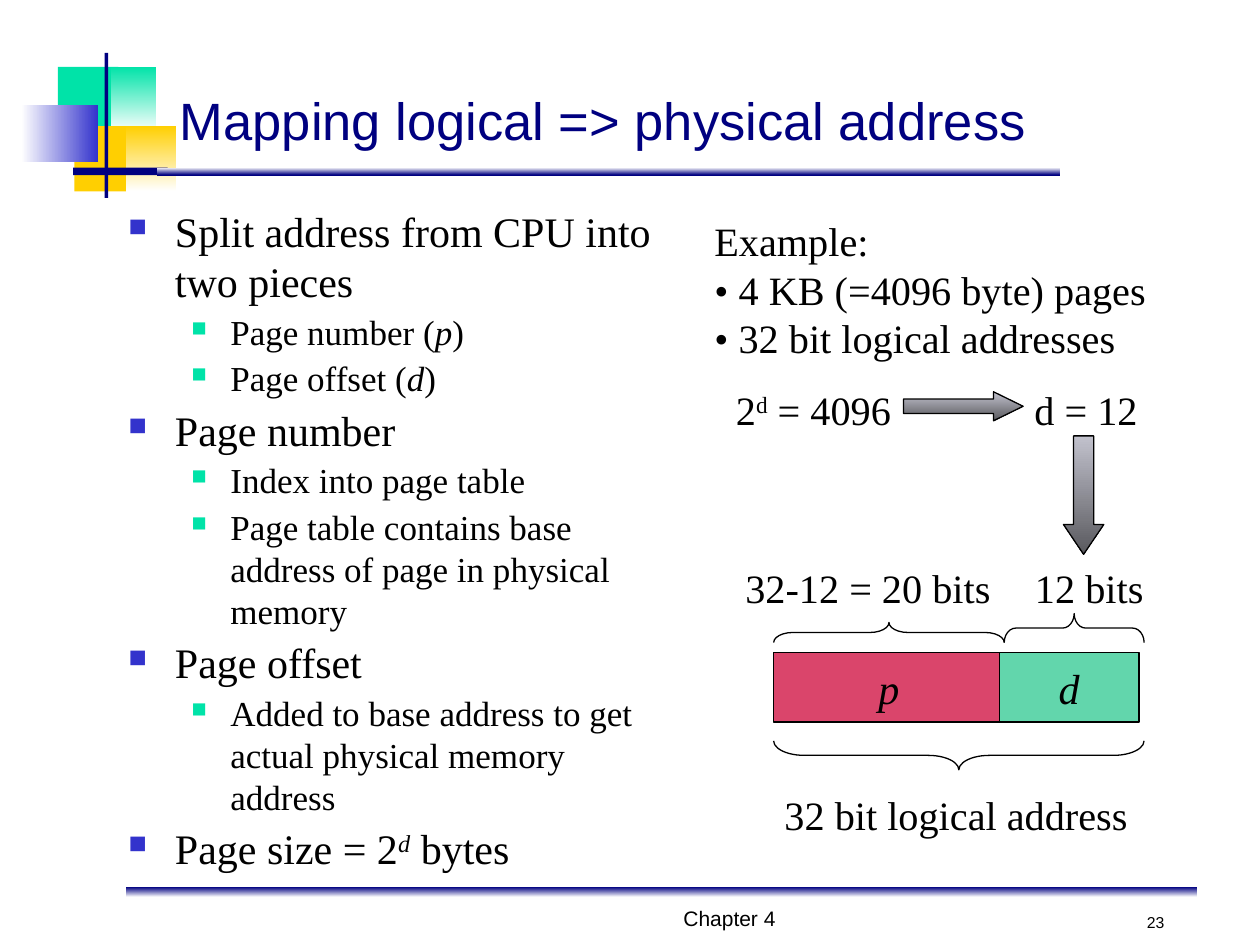
import pptx
import pptx.dml.color
import pptx.enum.shapes
import pptx.enum.text
import pptx.oxml.ns
import pptx.util
from lxml import etree

Inches = pptx.util.Inches
Shapes = pptx.enum.shapes.MSO_SHAPE
Align = pptx.enum.text.PP_ALIGN
Anchor = pptx.enum.text.MSO_ANCHOR

NAVY, BLUE, GREEN, YELLOW = "000080", "3333CC", "00E3A8", "FFCF01"
WHITE, BLACK, LIGHT_GREY, DARK_GREY = "FFFFFF", "000000", "C2C2CD", "59595E"
DOWNWARD, RIGHTWARD = 270, 0
SERIF, SANS = "Times New Roman", "Arial"


def colour(value):
    return pptx.dml.color.RGBColor.from_string(value)


class SlideBuilder:
    label_size = 23
    line_width = 0.75
    bullet_levels = [
        {"size": 24, "before": 3, "margin": 0.37, "hang": 0.37, "colour": BLUE},
        {"size": 20, "before": 2.5, "margin": 0.81, "hang": 0.31, "colour": GREEN},
    ]

    def __init__(self, slide):
        self.slide = slide

    def shape(self, kind, box, fill=None, gradient=None, angle=DOWNWARD, outlined=False):
        shape = self.slide.shapes.add_shape(kind, *map(Inches, box))
        shape.shadow.inherit = False
        if gradient:
            shape.fill.gradient()
            shape.fill.gradient_angle = angle
            for stop, value in zip(shape.fill.gradient_stops, gradient):
                stop.color.rgb = colour(value)
        elif fill:
            shape.fill.solid()
            shape.fill.fore_color.rgb = colour(fill)
        else:
            shape.fill.background()
        if outlined:
            shape.line.color.rgb = colour(BLACK)
            shape.line.width = pptx.util.Pt(self.line_width)
        else:
            shape.line.fill.background()
        return shape

    def rectangle(self, box, **style):
        return self.shape(Shapes.RECTANGLE, box, **style)

    def arrow(self, kind, box, head):
        arrow = self.shape(kind, box, gradient=(LIGHT_GREY, DARK_GREY), outlined=True)
        arrow.adjustments[1] = head

    def brace(self, box, rotation, curve):
        left, top, width, height = box
        unrotated = (left + (width - height) / 2, top + (height - width) / 2, height, width)
        brace = self.shape(Shapes.LEFT_BRACE, unrotated, outlined=True)
        brace.rotation = rotation
        brace.adjustments[0] = curve

    def field(self, box, name, fill):
        shape = self.rectangle(box, fill=fill, outlined=True)
        shape.text_frame.word_wrap = False
        shape.text_frame.vertical_anchor = Anchor.MIDDLE
        paragraph = shape.text_frame.paragraphs[0]
        paragraph.alignment = Align.CENTER
        self.runs(paragraph, [(name, "italic")], 24)

    def runs(self, paragraph, pieces, size, font=SERIF, value=BLACK):
        for text, style in pieces:
            run = paragraph.add_run()
            run.text = text
            run.font.name = font
            run.font.size = pptx.util.Pt(size)
            run.font.color.rgb = colour(value)
            run.font.italic = "italic" in style
            if "super" in style:
                run._r.get_or_add_rPr().set("baseline", "30000")

    def frame(self, box, margin=0.1, wrap=True, anchor=Anchor.TOP):
        frame = self.slide.shapes.add_textbox(*map(Inches, box)).text_frame
        frame.word_wrap = wrap
        frame.vertical_anchor = anchor
        frame.margin_left = frame.margin_right = Inches(margin)
        return frame

    def label(self, box, lines, alignment=Align.LEFT):
        frame = self.frame(box, margin=0.09, wrap=False)
        for index, pieces in enumerate(lines):
            paragraph = frame.add_paragraph() if index else frame.paragraphs[0]
            paragraph.alignment = alignment
            self.runs(paragraph, pieces, self.label_size)

    def heading(self, box, text, size, value=BLACK, alignment=Align.LEFT):
        paragraph = self.frame(box, anchor=Anchor.BOTTOM).paragraphs[0]
        paragraph.alignment = alignment
        self.runs(paragraph, [(text, "")], size, SANS, value)

    def bullets(self, box, items):
        frame = self.frame(box)
        for index, (level, pieces) in enumerate(items):
            style = self.bullet_levels[level]
            paragraph = frame.add_paragraph() if index else frame.paragraphs[0]
            paragraph.level = level
            paragraph.space_before = pptx.util.Pt(style["before"])
            self.bullet(paragraph, style)
            self.runs(paragraph, pieces, style["size"])

    def bullet(self, paragraph, style):
        name = pptx.oxml.ns.qn
        properties = paragraph._p.get_or_add_pPr()
        properties.set("marL", str(Inches(style["margin"])))
        properties.set("indent", str(-Inches(style["hang"])))
        bullet_colour = etree.SubElement(properties, name("a:buClr"))
        etree.SubElement(bullet_colour, name("a:srgbClr"), val=style["colour"])
        etree.SubElement(properties, name("a:buSzPct"), val="60000")
        etree.SubElement(properties, name("a:buChar"), char="■")


def add_decoration(builder):
    builder.rectangle((1, 7.04, 8.5, 0.08), gradient=(NAVY, WHITE))
    builder.rectangle((0.46, 0.53, 0.48, 0.52), fill=GREEN)
    builder.rectangle((0.88, 0.53, 0.36, 0.52), gradient=(GREEN, WHITE))
    builder.rectangle((0.59, 1, 0.46, 0.52), fill=YELLOW)
    builder.rectangle((1, 1, 0.4, 0.52), gradient=(YELLOW, WHITE))
    builder.rectangle((0.17, 0.83, 0.61, 0.46), gradient=(WHITE, BLUE), angle=RIGHTWARD)
    builder.rectangle((0.83, 0.42, 0.03, 1.15), fill=NAVY)
    builder.rectangle((0.58, 1.33, 0.75, 0.06), fill=NAVY)
    builder.rectangle((1.25, 1.33, 7.16, 0.06), gradient=(WHITE, NAVY))


def add_example(builder):
    example = ["Example:", "• 4 KB (=4096 byte) pages", "• 32 bit logical addresses"]
    builder.label((5.58, 1.67, 3.62, 1.24), [[(line, "")] for line in example])
    builder.label((5.75, 3.01, 1.42, 0.48), [[("2", ""), ("d", "super"), (" = 4096", "")]])
    builder.label((8.12, 3.01, 1.01, 0.48), [[("d = 12", "")]])
    builder.arrow(Shapes.RIGHT_ARROW, (7.17, 3.11, 0.95, 0.23), 1.02)
    builder.arrow(Shapes.DOWN_ARROW, (8.44, 3.46, 0.32, 0.94), 0.74)

    builder.field((6.14, 5.18, 1.83, 0.55), "p", "DA456B")
    builder.field((7.93, 5.18, 1.11, 0.55), "d", "62D6AC")
    builder.brace((6.14, 4.94, 1.83, 0.16), 90, 0.95)
    builder.brace((7.97, 4.87, 1.11, 0.23), 90, 0.4)
    builder.brace((6.14, 5.88, 2.94, 0.23), 270, 1.06)
    captions = [
        ((5.82, 4.42, 2.14, 0.48), "32-12 = 20 bits"),
        ((8.12, 4.42, 1.05, 0.48), "12 bits"),
        ((6.13, 6.22, 2.92, 0.48), "32 bit logical address"),
    ]
    for box, text in captions:
        builder.label(box, [[(text, "")]], Align.CENTER)


def main():
    presentation = pptx.Presentation()
    presentation.slide_width = Inches(10)
    presentation.slide_height = Inches(7.5)
    builder = SlideBuilder(presentation.slides.add_slide(presentation.slide_layouts[6]))

    add_decoration(builder)
    add_example(builder)
    builder.heading((1.33, 0.58, 8.5, 0.67), "Mapping logical => physical address", 30, NAVY)
    builder.bullets((0.92, 1.58, 4.35, 5.42), [
        (0, [("Split address from CPU into two pieces", "")]),
        (1, [("Page number (", ""), ("p", "italic"), (")", "")]),
        (1, [("Page offset (", ""), ("d", "italic"), (")", "")]),
        (0, [("Page number", "")]),
        (1, [("Index into page table", "")]),
        (1, [("Page table contains base address of page in physical memory", "")]),
        (0, [("Page offset", "")]),
        (1, [("Added to base address to get actual physical memory address", "")]),
        (0, [("Page size = 2", ""), ("d", "italic super"), (" bytes", "")]),
    ])
    builder.heading((2.83, 7.17, 5.92, 0.27), "Chapter 4", 12, alignment=Align.CENTER)
    builder.heading((8.92, 7.17, 0.42, 0.27), "23", 9, alignment=Align.RIGHT)
    presentation.save("out.pptx")


if __name__ == "__main__":
    main()
